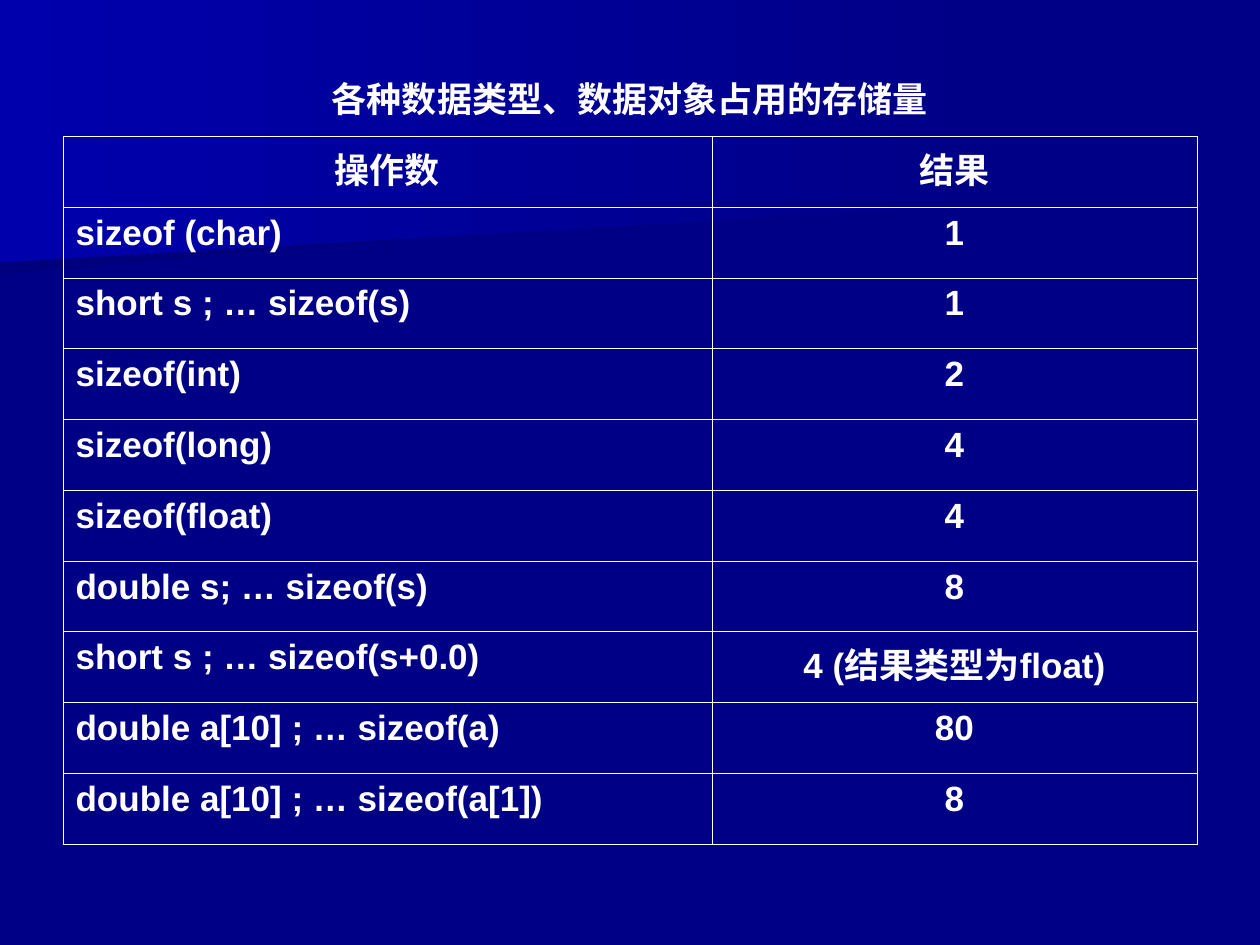
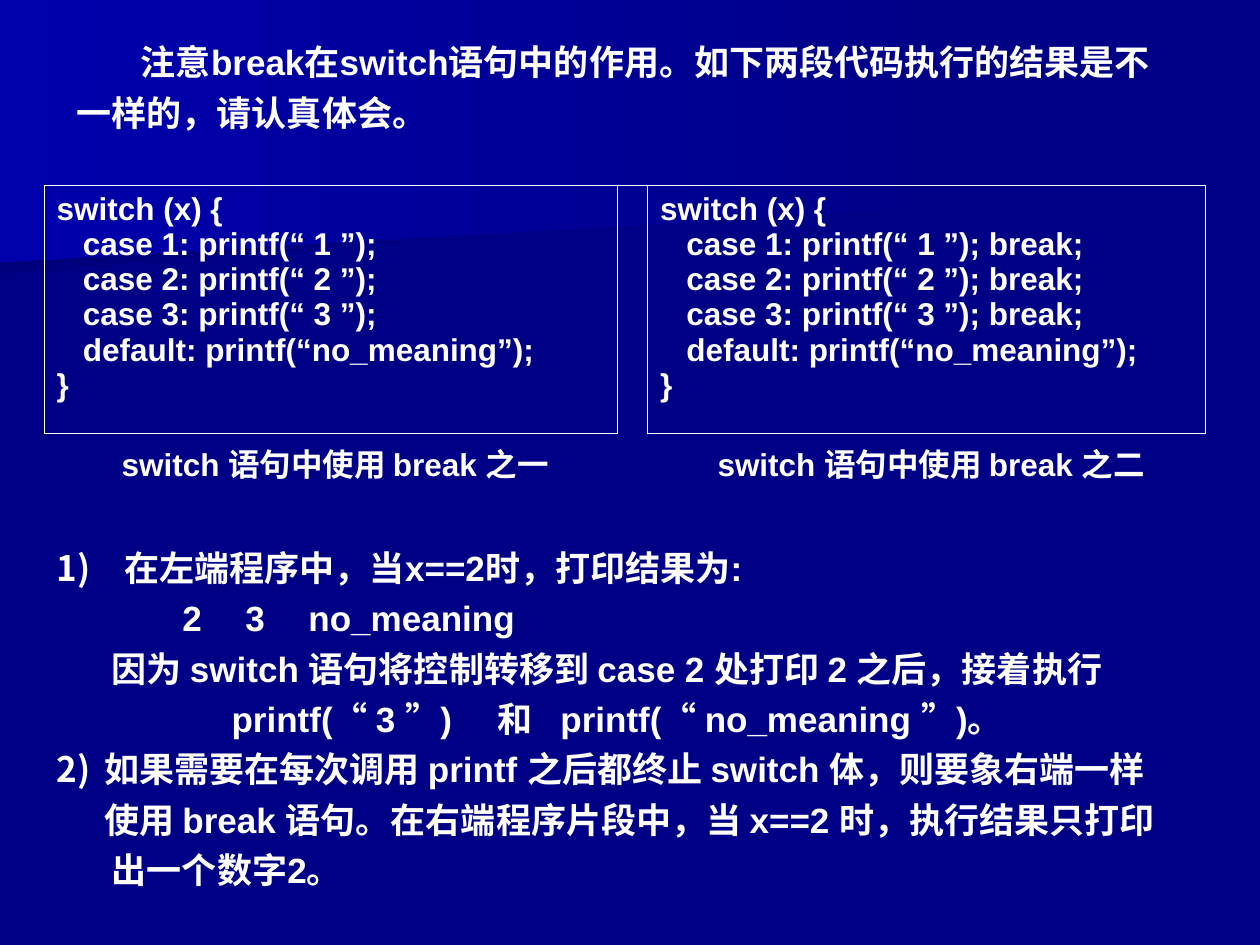
from dataclasses import dataclass

from lxml import etree
from pptx import Presentation
from pptx.dml.color import RGBColor
from pptx.enum.text import MSO_ANCHOR, PP_ALIGN as Align
from pptx.oxml.ns import qn
from pptx.util import Inches, Pt


@dataclass(frozen=True)
class Theme:
    font: str = "Arial"
    text: str = "FFFFFF"
    ground: str = "000086"
    shade: str = "00007D"
    glow: str = "0000AC"
    body: int = 20
    code: int = 18
    rule: float = 0.45
    spacing: float = 1.2


THEME = Theme()
NO_TABLE_STYLE = "{2D5ABB26-0587-4C30-8999-92F81FD0307C}"


@dataclass(frozen=True)
class Sweep:
    """A background area whose gradient runs from right to left."""
    points: tuple
    left_colour: str


@dataclass(frozen=True)
class Line:
    """One paragraph; lengths are inches."""
    text: str
    first: float = 0
    margin: float = 0
    number: int = 0
    tabs: tuple = ()
    align: Align = Align.LEFT


@dataclass(frozen=True)
class CellPlan:
    """Cell text and the sides that carry a rule."""
    lines: tuple = ()
    sides: str = "LRTB"


SWEEPS = (
    Sweep(((7.78, 1.53), (0, 2.17), (0, 1.01), (7.79, 1.01), (7.78, 1.28)), THEME.shade),
    Sweep(((7.92, 1.62), (0, 2.08), (0, 0), (7.92, 0)), THEME.glow),
)

TABLE_TITLE = "各种数据类型、数据对象占用的存储量"
SIZES = (
    ("sizeof (char)", "1"),
    ("short s ; … sizeof(s)", "1"),
    ("sizeof(int)", "2"),
    ("sizeof(long)", "4"),
    ("sizeof(float)", "4"),
    ("double s; … sizeof(s)", "8"),
    ("short s ; … sizeof(s+0.0)", "4 (结果类型为float)"),
    ("double a[10] ; … sizeof(a)", "80"),
    ("double a[10] ; … sizeof(a[1])", "8"),
)

INTRO = (Line("注意break在switch语句中的作用。如下两段代码执行的结果是不一样的，请认真体会。", first=0.51),)
NOTES = (
    Line("在左端程序中，当x==2时，打印结果为:", first=-0.54, margin=0.54, number=1),
    Line("2\t3\tno_meaning", first=1, tabs=(1.31, 1.62)),
    Line("因为 switch 语句将控制转移到 case 2 处打印 2 之后，接着执行", first=0.44),
    Line("printf(“ 3 ”)\t和\tprintf(“ no_meaning ”)。", first=1.39, tabs=(4.09, 4.82)),
    Line("如果需要在每次调用 printf 之后都终止 switch 体，则要象右端一样",
         first=-0.38, margin=0.38, number=2),
    Line("使用 break 语句。在右端程序片段中，当 x==2 时，执行结果只打印", first=0.38),
    Line("出一个数字2。", first=0.44),
)


# Text
def format_para(para, line: Line) -> None:
    """Set alignment, indents, numbering and tab stops."""
    para.alignment = line.align
    props = para._p.get_or_add_pPr()
    props.set("marL", str(Inches(line.margin)))
    props.set("indent", str(Inches(line.first)))
    if line.number:
        etree.SubElement(props, qn("a:buAutoNum"), type="arabicParenR", startAt=str(line.number))
    else:
        etree.SubElement(props, qn("a:buNone"))
    if line.tabs:
        stops = etree.SubElement(props, qn("a:tabLst"))
        for tab in line.tabs:
            etree.SubElement(stops, qn("a:tab"), pos=str(Inches(tab)), algn="l")


def write_lines(frame, lines: tuple, size: int, spacing: float = 1.0) -> None:
    for index, line in enumerate(lines):
        para = frame.paragraphs[0] if index == 0 else frame.add_paragraph()
        format_para(para, line)
        para.line_spacing = spacing
        span = para.add_run()
        span.text = line.text
        span.font.name = THEME.font
        span.font.size = Pt(size)
        span.font.bold = True
        span.font.color.rgb = RGBColor.from_string(THEME.text)


def add_text(page, left: float, top: float, width: float, height: float, lines: tuple) -> None:
    box = page.shapes.add_textbox(Inches(left), Inches(top), Inches(width), Inches(height))
    box.text_frame.word_wrap = True
    write_lines(box.text_frame, lines, THEME.body, THEME.spacing)


# Tables
def rule_cell(cell, sides: str) -> None:
    props = cell._tc.get_or_add_tcPr()
    for side in "LRTB":
        edge = etree.SubElement(props, qn(f"a:ln{side}"), w=str(Pt(THEME.rule)))
        if side in sides:
            fill = etree.SubElement(edge, qn("a:solidFill"))
            etree.SubElement(fill, qn("a:srgbClr"), val=THEME.text)
        else:
            etree.SubElement(edge, qn("a:noFill"))
    cell.fill.background()


def add_grid(page, left: float, top: float, height: float, widths: tuple, plans: list, size: int):
    frame = page.shapes.add_table(len(plans), len(widths), Inches(left), Inches(top),
                                  Inches(sum(widths)), Inches(height))
    table = frame.table
    table.first_row = table.horz_banding = False
    table._tbl.tblPr.find(qn("a:tableStyleId")).text = NO_TABLE_STYLE
    for column, width in zip(table.columns, widths):
        column.width = Inches(width)
    for row, row_plans in enumerate(plans):
        for column, plan in enumerate(row_plans):
            cell = table.cell(row, column)
            cell.vertical_anchor = MSO_ANCHOR.TOP
            rule_cell(cell, plan.sides)
            write_lines(cell.text_frame, plan.lines, size)
    return table


# Shared background
def add_page(deck):
    page = deck.slides.add_slide(deck.slide_layouts[6])
    for sweep in SWEEPS:
        start, *rest = [(Inches(x), Inches(y)) for x, y in sweep.points]
        builder = page.shapes.build_freeform(*start, scale=1.0)
        builder.add_line_segments(rest, close=True)
        area = builder.convert_to_shape()
        area.shadow.inherit = False
        area.line.fill.background()
        area.fill.gradient()
        area.fill.gradient_angle = 180
        for stop, colour in zip(area.fill.gradient_stops, (THEME.ground, sweep.left_colour)):
            stop.color.rgb = RGBColor.from_string(colour)
    return page


# Slide 1: storage sizes
def add_sizes_page(deck) -> None:
    page = add_page(deck)

    def centred(text: str, sides: str = "LRTB") -> CellPlan:
        return CellPlan((Line(text, align=Align.CENTER),), sides)

    plans = [
        (centred(TABLE_TITLE, "B"), CellPlan(sides="B")),
        (centred("操作数"), centred("结果")),
        *((CellPlan((Line(operand),)), centred(result)) for operand, result in SIZES),
    ]
    table = add_grid(page, 0.5, 0.52, 6.18, (5.15, 3.85), plans, THEME.body)
    table.cell(0, 0).merge(table.cell(0, 1))


# Slide 2: break inside switch
def switch_code(ending: str) -> CellPlan:
    cases = [f"   case {n}: printf(“ {n} ”);{ending}" for n in (1, 2, 3)]
    code = ["switch (x) {", *cases, "   default: printf(“no_meaning”);", "}"]
    return CellPlan(tuple(Line(text) for text in code))


def switch_caption(ordinal: str) -> CellPlan:
    text = f"switch 语句中使用 break 之{ordinal}"
    return CellPlan((Line(text, first=0.07, align=Align.CENTER),), "T")


def add_switch_page(deck) -> None:
    page = add_page(deck)
    plans = [
        (switch_code(""), CellPlan(sides="LRT"), switch_code(" break;")),
        (switch_caption("一"), CellPlan(sides=""), switch_caption("二")),
    ]
    table = add_grid(page, 0.35, 1.47, 2.37, (4.55, 0.24, 4.43), plans, THEME.code)
    for row, height in zip(table.rows, (1.97, 0.4)):
        row.height = Inches(height)
    add_text(page, 0.51, 0.21, 8.98, 0.9, INTRO)
    add_text(page, 0.35, 4.22, 9.57, 2.9, NOTES)


def main() -> None:
    deck = Presentation()
    deck.slide_width, deck.slide_height = Inches(10), Inches(7.5)
    ground = deck.slide_master.background.fill
    ground.solid()
    ground.fore_color.rgb = RGBColor.from_string(THEME.ground)
    add_sizes_page(deck)
    add_switch_page(deck)
    deck.save("out.pptx")


if __name__ == "__main__":
    main()
